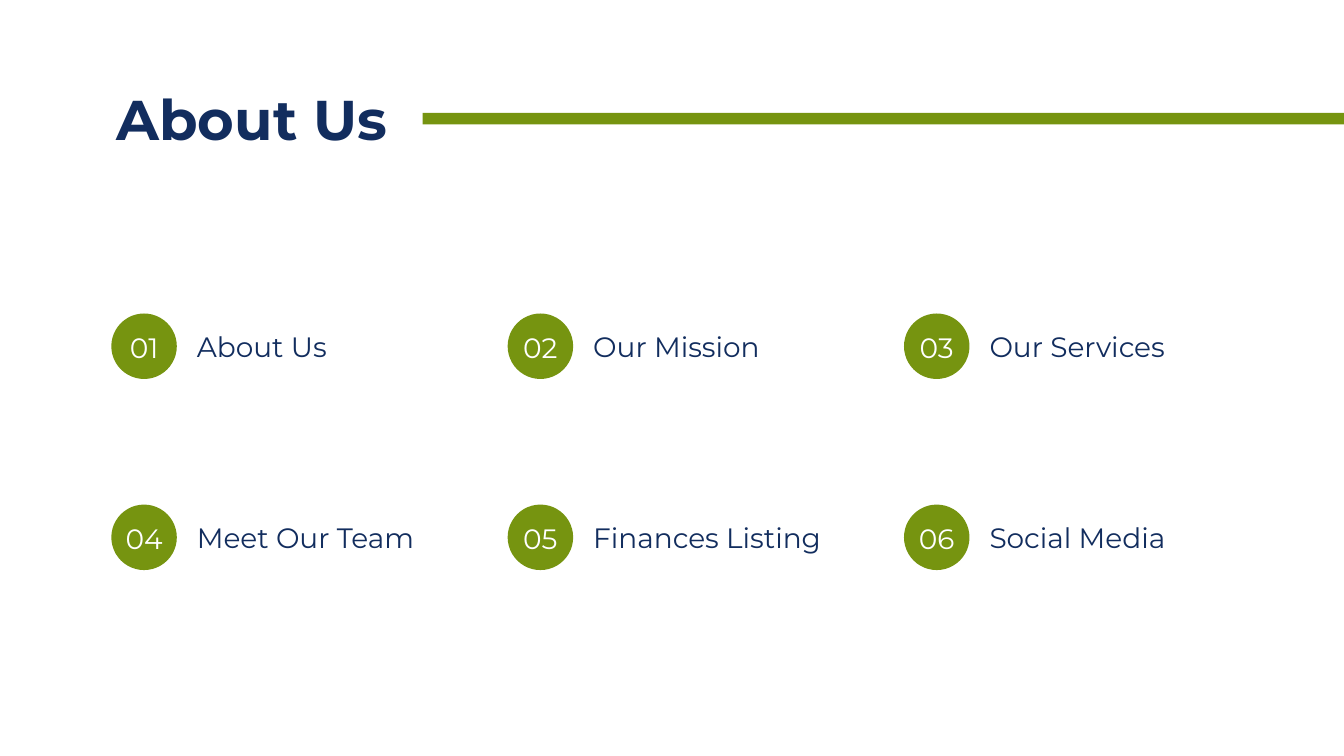
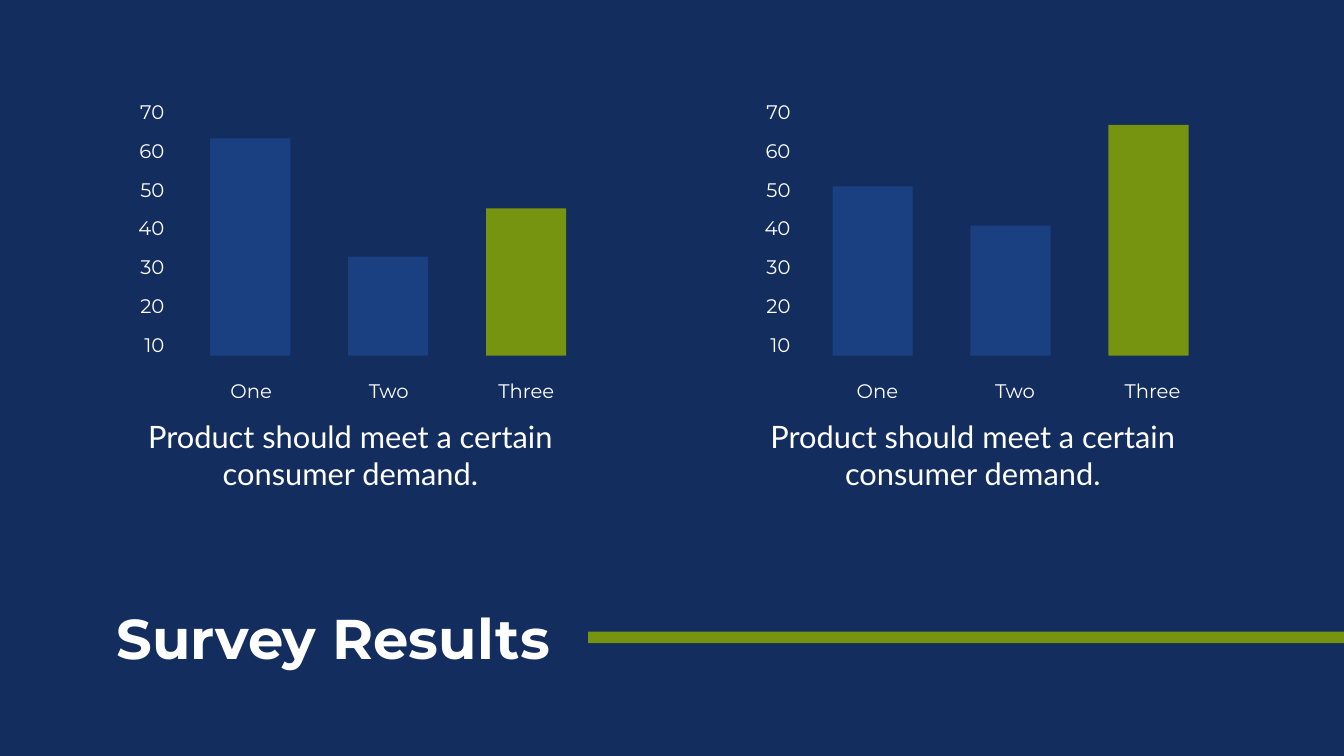
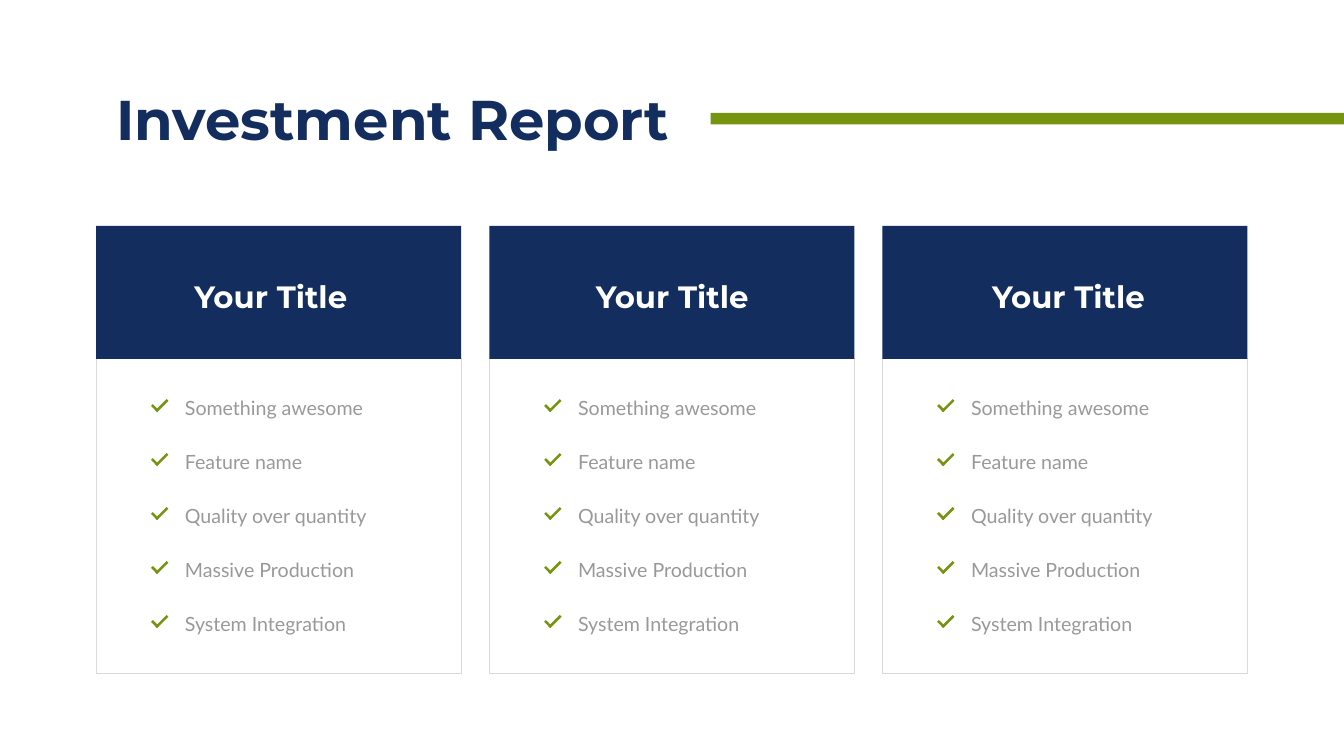
from dataclasses import dataclass

from pptx import Presentation
from pptx import util as u
from pptx.dml.color import RGBColor
from pptx.enum import shapes, text
from pptx.util import Cm

COLORS = {
    "navy": "122D5E",
    "blue": "1B4081",
    "green": "769410",
    "white": "FFFFFF",
    "grey": "999999",
    "border": "D9D9D9",
}
HEADING_FONT, BODY_FONT = "Montserrat", "Lato"
SLIDE_WIDTH, SLIDE_HEIGHT = 67.72, 38.1
MARGIN = 5.61


# All lengths in the data classes are centimetres.
@dataclass
class Box:
    left: float
    top: float
    width: float
    height: float

    def lengths(self) -> tuple:
        return Cm(self.left), Cm(self.top), Cm(self.width), Cm(self.height)


@dataclass
class Style:
    size: float
    color: str
    font: str = HEADING_FONT
    bold: bool = False
    align: text.PP_ALIGN = text.PP_ALIGN.LEFT
    anchor: text.MSO_ANCHOR = text.MSO_ANCHOR.TOP
    line_spacing: float = 1.0
    space_before: float = 0


@dataclass
class Heading:
    words: str
    top: float
    rule_left: float
    color: str = "navy"


@dataclass
class Survey:
    axis_left: float
    bars_left: float
    bar_heights: tuple


@dataclass
class Card:
    left: float
    title_left: float


CENTER, MIDDLE = text.PP_ALIGN.CENTER, text.MSO_ANCHOR.MIDDLE
NUMBER = Style(40, "white", align=CENTER, anchor=MIDDLE)
TOPIC = Style(40, "navy")
SCALE = Style(28, "white", align=text.PP_ALIGN.RIGHT, line_spacing=1.5,
              space_before=5)
CATEGORY = Style(28, "white", align=CENTER, line_spacing=1.5)
CAPTION = Style(44, "white", BODY_FONT, align=CENTER)
CARD_TITLE = Style(44, "white", bold=True, align=CENTER)
FEATURE = Style(28, "grey", BODY_FONT)


# Shared helpers
def rgb(name: str) -> RGBColor:
    return RGBColor.from_string(COLORS[name])


def write(shape, lines: tuple, style: Style, wrap: bool = True) -> None:
    frame = shape.text_frame
    frame.word_wrap = wrap
    frame.auto_size = text.MSO_AUTO_SIZE.NONE
    frame.vertical_anchor = style.anchor
    for index, words in enumerate(lines):
        paragraph = frame.add_paragraph() if index else frame.paragraphs[0]
        paragraph.alignment = style.align
        paragraph.line_spacing = style.line_spacing
        paragraph.space_before = u.Pt(style.space_before if index else 0)
        run = paragraph.add_run()
        run.text = words
        run.font.name = style.font
        run.font.size = u.Pt(style.size)
        run.font.bold = style.bold
        run.font.color.rgb = rgb(style.color)


def set_insets(shape, side: float, top: float, bottom: float) -> None:
    frame = shape.text_frame
    frame.margin_left = frame.margin_right = Cm(side)
    frame.margin_top, frame.margin_bottom = Cm(top), Cm(bottom)


def add_text(slide, box: Box, lines: tuple, style: Style):
    shape = slide.shapes.add_textbox(*box.lengths())
    write(shape, lines, style)
    return shape


def add_filled(parent, box: Box, color: str,
               preset=shapes.MSO_SHAPE.RECTANGLE, rotation: float = 0):
    shape = parent.shapes.add_shape(preset, *box.lengths())
    shape.shadow.inherit = False
    shape.fill.solid()
    shape.fill.fore_color.rgb = rgb(color)
    shape.line.fill.background()
    shape.rotation = rotation
    return shape


def add_titled_slide(presentation, heading: Heading):
    slide = presentation.slides.add_slide(presentation.slide_layouts[5])
    title = slide.shapes.title
    title_box = Box(MARGIN, heading.top, heading.rule_left - MARGIN, 3.68)
    title.left, title.top, title.width, title.height = title_box.lengths()
    write(title, (heading.words,), Style(80, heading.color, bold=True),
          wrap=False)
    rule = Box(heading.rule_left, heading.top + 1.55,
               SLIDE_WIDTH - heading.rule_left, 0.58)
    add_filled(slide, rule, "green")
    return slide


# Agenda
def add_topic(slide, left: float, top: float, number: int, words: str) -> None:
    circle = add_filled(slide, Box(left, top, 3.3, 3.3), "green",
                        shapes.MSO_SHAPE.OVAL)
    set_insets(circle, 0, 0.15, 0)
    write(circle, (f"{number:02}",), NUMBER, wrap=False)
    add_text(slide, Box(left + 4.06, top + 0.69, 14.5, 1.96), (words,), TOPIC)


def build_agenda(presentation) -> None:
    slide = add_titled_slide(presentation, Heading("About Us", 4.14, 21.29))
    topics = ("About Us", "Our Mission", "Our Services",
              "Meet Our Team", "Finances Listing", "Social Media")
    for index, words in enumerate(topics):
        row, column = divmod(index, 3)
        add_topic(slide, MARGIN + 19.97 * column, 15.8 + 9.63 * row,
                  index + 1, words)


# Survey results
def add_label(slide, box: Box, lines: tuple, style: Style) -> None:
    set_insets(add_text(slide, box, lines, style), 0.61, 0.3, 0.3)


def add_survey(slide, survey: Survey) -> None:
    baseline, pitch = 17.92, 6.95
    scale = tuple(str(value) for value in range(70, 0, -10))
    add_label(slide, Box(survey.axis_left, 4.14, 3.15, 14.4), scale, SCALE)
    bars = zip(("One", "Two", "Three"), survey.bar_heights,
               ("blue", "blue", "green"))
    for column, (name, height, color) in enumerate(bars):
        bar = Box(survey.bars_left + pitch * column, baseline - height,
                  4.04, height)
        add_filled(slide, bar, color)
        label = Box(survey.axis_left + 3.02 + 6.93 * column, 18.21, 7.8, 1.93)
        add_label(slide, label, (name,), CATEGORY)
    add_label(slide, Box(survey.bars_left - 3.96, 20.73, 22.07, 4.37),
              ("Product should meet a certain consumer demand.",), CAPTION)


def build_survey(presentation) -> None:
    slide = add_titled_slide(
        presentation, Heading("Survey Results", 30.28, 29.64, "white"))
    backdrop = add_filled(slide, Box(0, 0, SLIDE_WIDTH, SLIDE_HEIGHT), "navy")
    # The backdrop goes behind the title.
    slide.shapes.title.element.addprevious(backdrop.element)
    surveys = (Survey(5.74, 10.59, (10.95, 4.98, 7.42)),
               Survey(37.29, 41.95, (8.53, 6.55, 11.63)))
    for survey in surveys:
        add_survey(slide, survey)


# Investment cards
def add_check(slide, left: float, top: float) -> None:
    check = slide.shapes.add_group_shape()
    add_filled(check, Box(left, top + 0.12, 0.43, 0.13), "green", rotation=45)
    add_filled(check, Box(left + 0.16, top, 0.81, 0.13), "green", rotation=315)


def add_card(slide, card: Card, title: str, features: tuple) -> None:
    body = add_filled(slide, Box(card.left, 18.08, 18.39, 15.88), "white")
    body.fill.background()
    body.line.color.rgb = rgb("border")
    body.line.width = u.Pt(1)
    add_filled(slide, Box(card.left, 11.38, 18.39, 6.71), "navy")
    add_text(slide, Box(card.title_left, 13.87, 12.12, 2.13), (title,),
             CARD_TITLE)
    for row, words in enumerate(features):
        top = 19.84 + 2.72 * row
        add_check(slide, card.left + 2.74, top + 0.54)
        add_text(slide, Box(card.left + 4.22, top, 11.25, 1.45), (words,),
                 FEATURE)


def build_investment(presentation) -> None:
    slide = add_titled_slide(
        presentation, Heading("Investment Report", 4.14, 35.81))
    features = ("Something awesome", "Feature name", "Quality over quantity",
                "Massive Production", "System Integration")
    cards = (Card(4.85, 7.59), Card(24.66, 27.81), Card(44.46, 47.78))
    for card in cards:
        add_card(slide, card, "Your Title", features)


def main() -> None:
    presentation = Presentation()
    presentation.slide_width = Cm(SLIDE_WIDTH)
    presentation.slide_height = Cm(SLIDE_HEIGHT)
    build_agenda(presentation)
    build_survey(presentation)
    build_investment(presentation)
    presentation.save("out.pptx")


if __name__ == "__main__":
    main()
